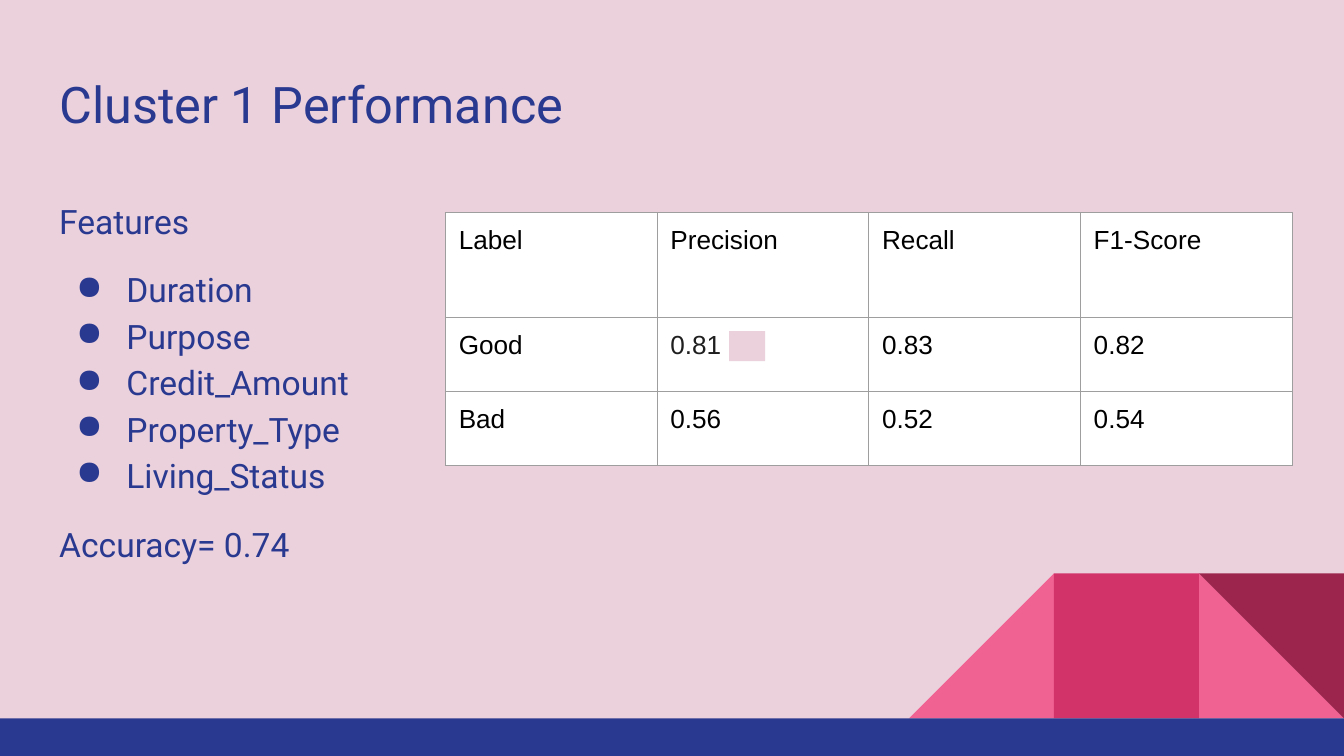
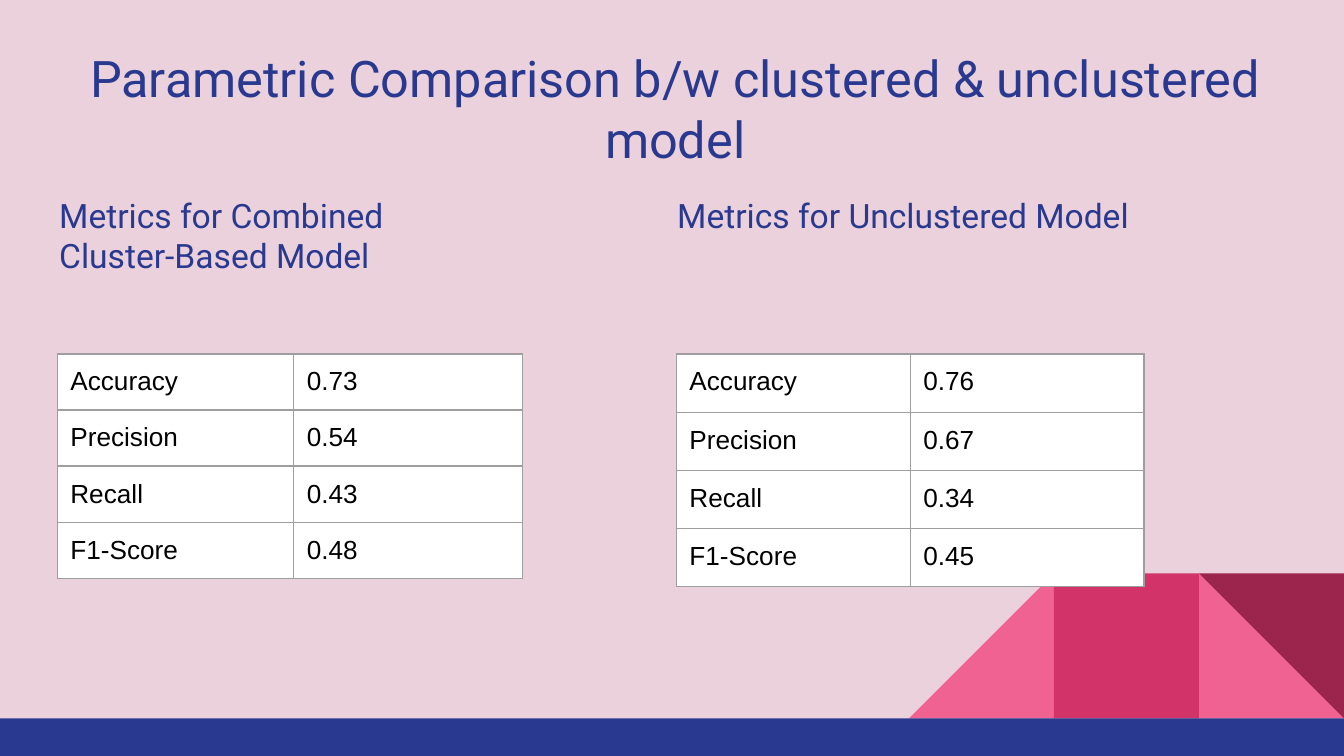
from dataclasses import dataclass

from lxml import etree
from pptx import Presentation
from pptx.dml.color import RGBColor
from pptx.enum.shapes import MSO_SHAPE
from pptx.enum.text import MSO_ANCHOR, MSO_AUTO_SIZE, PP_ALIGN
from pptx.oxml.ns import qn
from pptx.slide import Slide
from pptx.text.text import TextFrame, _Paragraph
from pptx.util import Cm, Pt

RECTANGLE, TRIANGLE = MSO_SHAPE.RECTANGLE, MSO_SHAPE.RIGHT_TRIANGLE
LEFT, CENTER = PP_ALIGN.LEFT, PP_ALIGN.CENTER
TOP, NO_AUTOFIT = MSO_ANCHOR.TOP, MSO_AUTO_SIZE.NONE
TITLE_ONLY = 5


@dataclass(frozen=True)
class Theme:
    background: str = "EAD1DC"
    navy: str = "2A3990"
    pink: str = "F06292"
    rose: str = "D23369"
    wine: str = "9C254D"
    white: str = "FFFFFF"
    black: str = "000000"
    charcoal: str = "1F1F1F"
    border: str = "9E9E9E"
    text_font: str = "Roboto"
    table_font: str = "Arial"
    title_size: float = 27
    body_size: float = 18
    table_size: float = 14
    border_width: float = 0.75
    inset: float = 0.25


@dataclass(frozen=True)
class Box:
    """A rectangle in centimetres."""
    left: float
    top: float
    width: float
    height: float


@dataclass(frozen=True)
class Ornament:
    geometry: MSO_SHAPE
    box: Box
    color: str
    rotation: float = 0


@dataclass(frozen=True)
class Line:
    text: str
    spacing: float = 1.0
    before: float = 0
    after: float = 0
    bulleted: bool = False


@dataclass(frozen=True)
class MetricsTable:
    left: float
    top: float
    columns: tuple[float, ...]
    rows: tuple[float, ...]
    values: tuple[tuple[str, ...], ...]


THEME = Theme()
SLIDE_WIDTH, SLIDE_HEIGHT = 25.4, 14.29
TILE = 2.74
BAND_TOP = 13.58


def tile(steps_from_right: int) -> Box:
    return Box(SLIDE_WIDTH - steps_from_right * TILE, BAND_TOP - TILE, TILE, TILE)


ORNAMENTS = (
    Ornament(TRIANGLE, tile(1), THEME.pink),
    Ornament(TRIANGLE, tile(3), THEME.pink, 270),
    Ornament(RECTANGLE, tile(2), THEME.rose),
    Ornament(TRIANGLE, tile(1), THEME.wine, 180),
    Ornament(RECTANGLE, Box(0, BAND_TOP, SLIDE_WIDTH, SLIDE_HEIGHT - BAND_TOP), THEME.navy),
)

BODY = Box(0.87, 3.43, 23.67, 9.27)
UNCLUSTERED_HEADING = Box(12.55, 3.43, 9.3, 2.82)
PRECISION_MARK = Box(13.78, 6.26, 0.68, 0.57)

FEATURES = ("Duration", "Purpose", "Credit_Amount", "Property_Type", "Living_Status")
CLUSTER_LINES = (
    Line("Features", 1.15),
    *(Line(feature, 1.15, before=0 if index else 12, bulleted=True)
      for index, feature in enumerate(FEATURES)),
    Line("Accuracy= 0.74", 1.15, before=12, after=12),
)

CLUSTER_TABLE = MetricsTable(
    8.42, 4.02, (4,) * 4, (1.98, 1.4, 1.4),
    (("Label", "Precision", "Recall", "F1-Score"),
     ("Good", "0.81", "0.83", "0.82"),
     ("Bad", "0.56", "0.52", "0.54")),
)
METRICS = ("Accuracy", "Precision", "Recall", "F1-Score")
COMBINED_TABLE = MetricsTable(
    1.08, 6.69, (4.47, 4.32), (1.06,) * 4,
    tuple(zip(METRICS, ("0.73", "0.54", "0.43", "0.48"))),
)
UNCLUSTERED_TABLE = MetricsTable(
    12.78, 6.69, (4.42, 4.42), (1.1,) * 4,
    tuple(zip(METRICS, ("0.76", "0.67", "0.34", "0.45"))),
)


def rgb(color: str) -> RGBColor:
    return RGBColor.from_string(color)


def lengths(box: Box) -> tuple[Cm, Cm, Cm, Cm]:
    return Cm(box.left), Cm(box.top), Cm(box.width), Cm(box.height)


def style_runs(paragraph: _Paragraph, font: str, size: float, color: str) -> None:
    for run in paragraph.runs:
        run.font.name = font
        run.font.size = Pt(size)
        run.font.color.rgb = rgb(color)


def set_insets(holder) -> None:
    """Give a text frame or a table cell the common inset on all sides."""
    holder.margin_left = holder.margin_right = Cm(THEME.inset)
    holder.margin_top = holder.margin_bottom = Cm(THEME.inset)


def prepare_frame(frame: TextFrame) -> None:
    frame.word_wrap = True
    frame.auto_size = NO_AUTOFIT
    frame.vertical_anchor = TOP
    set_insets(frame)


def add_bullet(paragraph: _Paragraph) -> None:
    properties = paragraph._p.get_or_add_pPr()
    properties.set("marL", str(Cm(1.27)))
    properties.set("indent", str(-Cm(0.95)))
    bullet_color = etree.SubElement(properties, qn("a:buClr"))
    etree.SubElement(bullet_color, qn("a:srgbClr"), val=THEME.navy)
    etree.SubElement(properties, qn("a:buChar"), char="●")


def add_ornament(slide: Slide, ornament: Ornament) -> None:
    shape = slide.shapes.add_shape(ornament.geometry, *lengths(ornament.box))
    shape.rotation = ornament.rotation
    shape.shadow.inherit = False
    shape.fill.solid()
    shape.fill.fore_color.rgb = rgb(ornament.color)
    shape.line.fill.background()


def add_lines(slide: Slide, box: Box, lines: tuple[Line, ...]) -> None:
    frame = slide.shapes.add_textbox(*lengths(box)).text_frame
    prepare_frame(frame)
    frame.text = "\n".join(line.text for line in lines)
    for paragraph, line in zip(frame.paragraphs, lines):
        paragraph.line_spacing = line.spacing
        paragraph.space_before = Pt(line.before)
        paragraph.space_after = Pt(line.after)
        if line.bulleted:
            add_bullet(paragraph)
        style_runs(paragraph, THEME.text_font, THEME.body_size, THEME.navy)


def add_borders(cell) -> None:
    properties = cell._tc.get_or_add_tcPr()
    for index, side in enumerate(("lnL", "lnR", "lnT", "lnB")):
        border = etree.Element(qn(f"a:{side}"), w=str(Pt(THEME.border_width)))
        fill = etree.SubElement(border, qn("a:solidFill"))
        etree.SubElement(fill, qn("a:srgbClr"), val=THEME.border)
        properties.insert(index, border)


def add_metrics(slide: Slide, metrics: MetricsTable):
    box = Box(metrics.left, metrics.top, sum(metrics.columns), sum(metrics.rows))
    table = slide.shapes.add_table(
        len(metrics.rows), len(metrics.columns), *lengths(box)).table
    table.first_row = table.horz_banding = False
    for column, width in zip(table.columns, metrics.columns):
        column.width = Cm(width)
    for row, height, values in zip(table.rows, metrics.rows, metrics.values):
        row.height = Cm(height)
        for cell, value in zip(row.cells, values):
            cell.text_frame.text = value
            cell.vertical_anchor = TOP
            set_insets(cell)
            cell.fill.solid()
            cell.fill.fore_color.rgb = rgb(THEME.white)
            add_borders(cell)
            style_runs(cell.text_frame.paragraphs[0],
                       THEME.table_font, THEME.table_size, THEME.black)
    return table


def add_titled_slide(deck, title_text: str, box: Box, alignment: PP_ALIGN) -> Slide:
    """Add a slide with the shared ornaments and a formatted title."""
    slide = deck.slides.add_slide(deck.slide_layouts[TITLE_ONLY])
    for ornament in ORNAMENTS:
        add_ornament(slide, ornament)
    title = slide.shapes.title
    title.left, title.top, title.width, title.height = lengths(box)
    prepare_frame(title.text_frame)
    title.text_frame.text = title_text
    heading = title.text_frame.paragraphs[0]
    heading.alignment = alignment
    heading.line_spacing = 1.0
    style_runs(heading, THEME.text_font, THEME.title_size, THEME.navy)
    return slide


def build_cluster_performance(deck) -> None:
    slide = add_titled_slide(
        deck, "Cluster 1 Performance", Box(0.87, 1.14, 23.67, 1.68), LEFT)
    add_lines(slide, BODY, CLUSTER_LINES)
    table = add_metrics(slide, CLUSTER_TABLE)
    good_precision = table.cell(1, 1).text_frame.paragraphs[0]
    style_runs(good_precision, THEME.table_font, THEME.table_size, THEME.charcoal)
    add_ornament(slide, Ornament(RECTANGLE, PRECISION_MARK, THEME.background))


def build_model_comparison(deck) -> None:
    slide = add_titled_slide(
        deck, "Parametric Comparison b/w clustered & unclustered model",
        Box(0.71, 0.64, 24.1, 1.68), CENTER)
    add_lines(slide, BODY, (Line("Metrics for Combined"), Line("Cluster-Based Model")))
    add_metrics(slide, COMBINED_TABLE)
    add_lines(slide, UNCLUSTERED_HEADING, (Line("Metrics for Unclustered Model"),))
    add_metrics(slide, UNCLUSTERED_TABLE)


def main() -> None:
    deck = Presentation()
    deck.slide_width, deck.slide_height = Cm(SLIDE_WIDTH), Cm(SLIDE_HEIGHT)
    backdrop = deck.slide_master.background.fill
    backdrop.solid()
    backdrop.fore_color.rgb = rgb(THEME.background)
    build_cluster_performance(deck)
    build_model_comparison(deck)
    deck.save("out.pptx")


if __name__ == "__main__":
    main()
